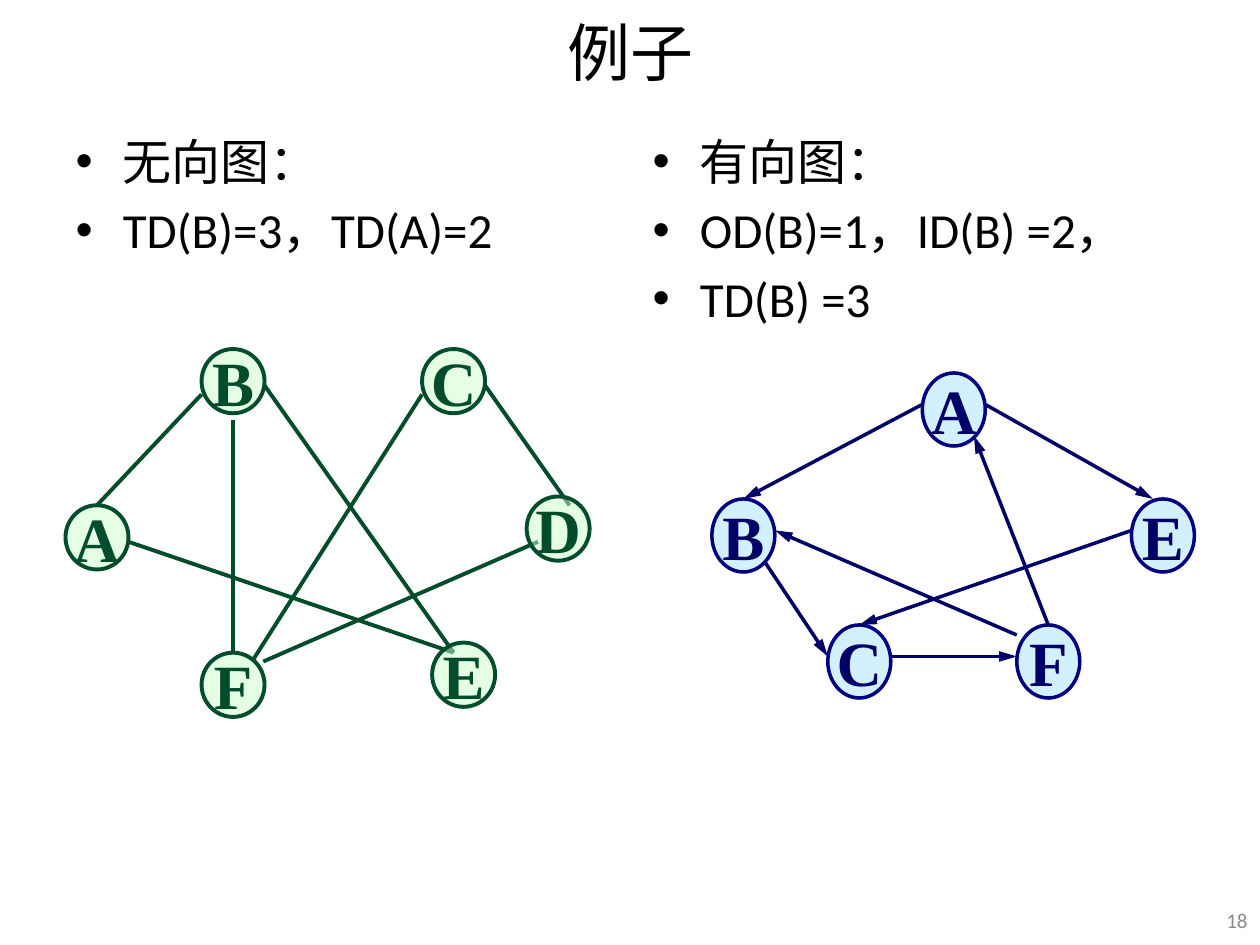
import pptx
import pptx.util
import pptx.dml.color
import pptx.enum.dml
import pptx.enum.lang
import pptx.enum.shapes
import pptx.enum.text
import pptx.oxml
import pptx.oxml.ns
import lxml.etree

Inches = pptx.util.Inches
ALIGN = pptx.enum.text.PP_ALIGN
MIDDLE = pptx.enum.text.MSO_ANCHOR.MIDDLE
NODE_WIDTH = 0.5

# Each graph: node size, colours, node positions (left, top), edges (from, to)
UNDIRECTED = {
    "height": 0.51, "fill": "CCFFCC", "outline": "004C2B", "ink": "004C2B",
    "weight": 2.25, "directed": False,
    "nodes": {"A": (0.52, 4.01), "B": (1.6, 2.77), "C": (3.35, 2.77),
              "D": (4.18, 3.94), "E": (3.43, 5.1), "F": (1.6, 5.18)},
    "edges": [((1.6, 3.13), (0.77, 4.01)), ((2.1, 3.06), (3.6, 5.18)),
              ((1.02, 4.3), (3.6, 5.18)), ((3.35, 3.13), (2, 5.25)),
              ((3.85, 3.06), (4.52, 4.01)), ((4.27, 4.3), (2.09, 5.25)),
              ((1.85, 3.33), (1.85, 5.18))],
}
DIRECTED = {
    "height": 0.58, "fill": "A7E2FF", "outline": "000080", "ink": "000066",
    "weight": 2, "directed": True,
    "nodes": {"A": (7.32, 2.96), "B": (5.65, 3.96), "C": (6.57, 4.96),
              "E": (8.98, 3.96), "F": (8.07, 4.96)},
    "edges": [((7.32, 3.21), (5.9, 3.96)), ((6.07, 4.46), (6.57, 5.21)),
              ((7.07, 5.21), (8.07, 5.21)), ((8.32, 4.96), (7.73, 3.46)),
              ((7.82, 3.21), (9.15, 3.96)), ((8.07, 5.04), (6.15, 4.21)),
              ((8.98, 4.21), (6.82, 4.96))],
}


def color(hex_value):
    return pptx.dml.color.RGBColor.from_string(hex_value)


def add_run(para, text, size, hex_value, font="Calibri", bold=False):
    span = para.add_run()
    span.text = text
    span.font.name = font
    span.font.size = pptx.util.Pt(size)
    span.font.bold = bold
    span.font.color.rgb = color(hex_value)
    span.font.language_id = pptx.enum.lang.MSO_LANGUAGE_ID.SIMPLIFIED_CHINESE


def place(box, left, top, width, height):
    box.left, box.top = Inches(left), Inches(top)
    box.width, box.height = Inches(width), Inches(height)


def fill_title(box, text):
    place(box, 0.5, 0.05, 9, 0.71)
    box.text_frame.auto_size = pptx.enum.text.MSO_AUTO_SIZE.NONE
    box.text_frame.vertical_anchor = MIDDLE
    para = box.text_frame.paragraphs[0]
    para.alignment = ALIGN.CENTER
    add_run(para, text, 36, "000000")


def fill_list(box, left, items):
    place(box, left, 0.99, 4.42, 6.38)
    frame = box.text_frame
    frame.auto_size = pptx.enum.text.MSO_AUTO_SIZE.NONE
    for index, item in enumerate(items):
        para = frame.add_paragraph() if index else frame.paragraphs[0]
        if index == 0:
            para.space_before = pptx.util.Pt(0)
        add_run(para, item, 28, "000000")


def add_page_number(page, number):
    box = page.shapes.add_textbox(Inches(9.37), Inches(7.1), Inches(0.63), Inches(0.4))
    frame = box.text_frame
    frame.word_wrap = True
    frame.vertical_anchor = MIDDLE
    frame.paragraphs[0].alignment = ALIGN.RIGHT
    add_run(frame.paragraphs[0], number, 12, "8C8C8C")


def add_edge(page, start, end, graph):
    points = [Inches(value) for value in (*start, *end)]
    edge = page.shapes.add_connector(pptx.enum.shapes.MSO_CONNECTOR.STRAIGHT, *points)
    edge.line.color.rgb = color(graph["ink"])
    edge.line.width = pptx.util.Pt(graph["weight"])
    if graph["directed"]:
        lxml.etree.SubElement(edge.line._get_or_add_ln(), pptx.oxml.ns.qn("a:tailEnd"),
                              type="triangle", w="med", len="lg")
    lxml.etree.SubElement(edge._element.spPr, pptx.oxml.ns.qn("a:effectLst"))


def add_node(page, name, left, top, graph):
    node = page.shapes.add_shape(
        pptx.enum.shapes.MSO_SHAPE.OVAL, Inches(left), Inches(top),
        Inches(NODE_WIDTH), Inches(graph["height"]))
    node.shadow.inherit = False
    node.fill.solid()
    node.fill.fore_color.rgb = color(graph["fill"])
    # Half-transparent fill
    tint = node._element.spPr.find(".//" + pptx.oxml.ns.qn("a:srgbClr"))
    lxml.etree.SubElement(tint, pptx.oxml.ns.qn("a:alpha"), val="50000")
    node.line.color.rgb = color(graph["outline"])
    node.line.width = pptx.util.Pt(graph["weight"])
    frame = node.text_frame
    frame.word_wrap = False
    frame.vertical_anchor = MIDDLE
    frame.margin_left = frame.margin_right = 0
    frame.margin_top = frame.margin_bottom = 0
    frame.paragraphs[0].alignment = ALIGN.CENTER
    add_run(frame.paragraphs[0], name, 36, graph["ink"], "Times New Roman", True)


def add_graph(page, graph):
    for start, end in graph["edges"]:
        add_edge(page, start, end, graph)
    for name, (left, top) in graph["nodes"].items():
        add_node(page, name, left, top, graph)


def main():
    deck = pptx.Presentation()
    deck.slide_width, deck.slide_height = Inches(10), Inches(7.5)
    page = deck.slides.add_slide(deck.slide_layouts.get_by_name("Two Content"))

    # Title and the two lists
    fill_title(page.shapes.title, "例子")
    fill_list(page.placeholders[1], 0.5, ["无向图：", "TD(B)=3，TD(A)=2"])
    fill_list(page.placeholders[2], 5.08,
              ["有向图：", "OD(B)=1，ID(B) =2，", "TD(B) =3"])
    add_page_number(page, "18")

    # Graphs
    add_graph(page, UNDIRECTED)
    add_graph(page, DIRECTED)
    deck.save("out.pptx")


if __name__ == "__main__":
    main()
